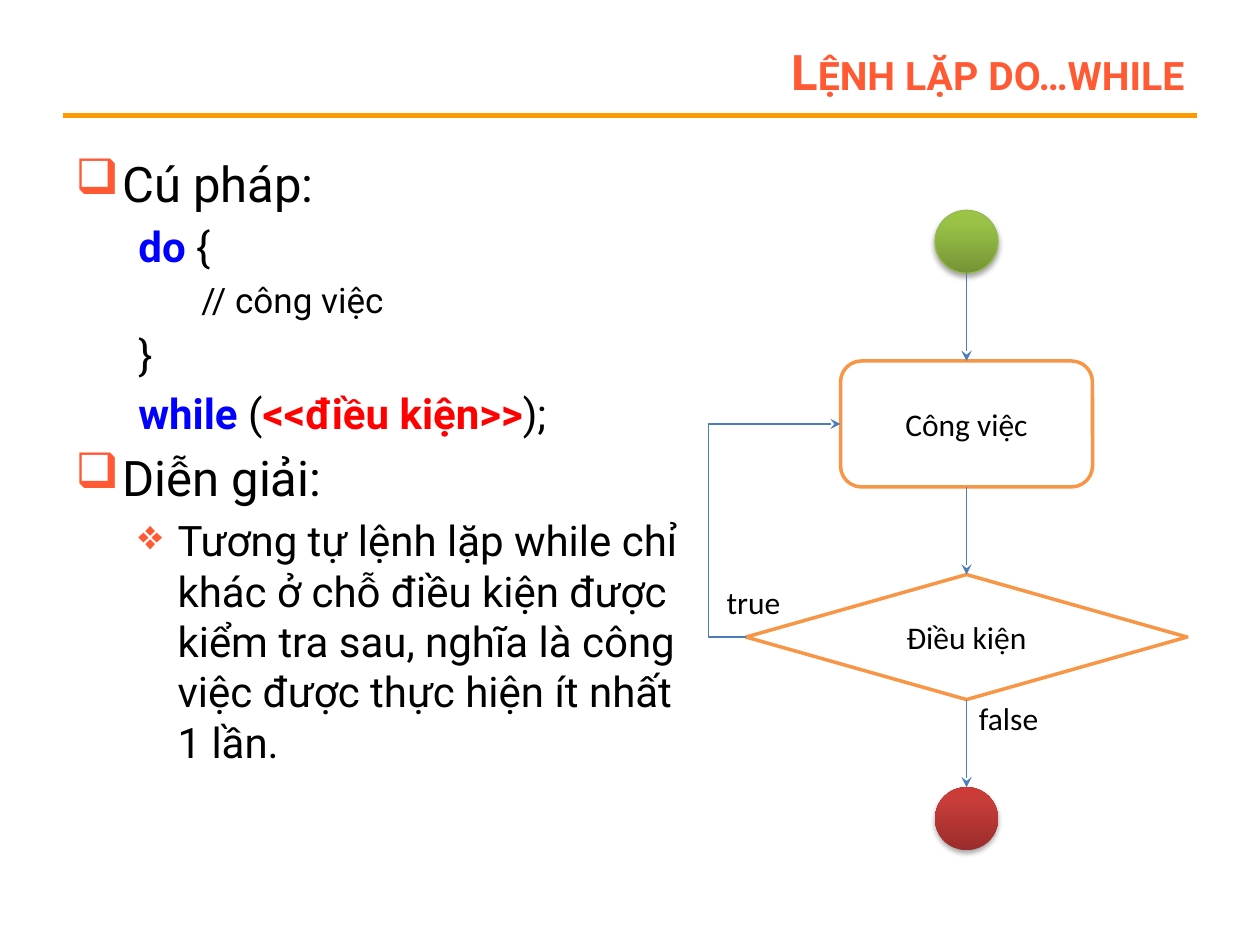
import copy
import pptx
import pptx.chart.data
import pptx.dml.color
import pptx.enum.shapes
import pptx.enum.text
import pptx.oxml
import pptx.oxml.ns
import pptx.util
from pptx.util import Cm

SHAPE = pptx.enum.shapes.MSO_SHAPE
CONNECTOR = pptx.enum.shapes.MSO_CONNECTOR
ALIGN = pptx.enum.text.PP_ALIGN
ANCHOR = pptx.enum.text.MSO_ANCHOR
CORAL, BLACK, BLUE, RED = "FF5A33", "000000", "0000FF", "FF0000"
ORANGE, WHITE, ARROW = "F79646", "FFFFFF", "4A7DBA"


def color(value):
    return pptx.dml.color.RGBColor.from_string(value)


def add_xml(parent, tag, **attributes):
    element = pptx.oxml.parse_xml(f"<a:{tag} {pptx.oxml.ns.nsdecls('a')}/>")
    for name, value in attributes.items():
        element.set(name, str(value))
    parent.append(element)
    return element


def add_run(paragraph, text, value=BLACK, **formats):
    run = paragraph.add_run()
    run.text = text
    for name, setting in formats.items():
        setattr(run.font, name, setting)
    run.font.color.rgb = color(value)
    return run


def add_text_box(slide, left, top, width, height, **formats):
    shape = slide.shapes.add_textbox(Cm(left), Cm(top), Cm(width), Cm(height))
    for name, setting in ({"word_wrap": True} | formats).items():
        setattr(shape.text_frame, name, setting)
    return shape.text_frame


def add_line(slide, kind, start, end, value, width, arrow=False):
    points = [Cm(length) for length in (*start, *end)]
    connector = slide.shapes.add_connector(kind, *points)
    connector.line.color.rgb = color(value)
    connector.line.width = pptx.util.Pt(width)
    if arrow:
        add_xml(connector.line._get_or_add_ln(), "tailEnd", type="stealth")
    add_xml(connector._element.spPr, "effectLst")
    return connector


def add_shape(slide, kind, left, top, width, height):
    shape = slide.shapes.add_shape(kind, Cm(left), Cm(top), Cm(width), Cm(height))
    shape.shadow.inherit = False
    return shape


def add_step(slide, kind, left, top, width, height, text):
    shape = add_shape(slide, kind, left, top, width, height)
    shape.fill.solid()
    shape.fill.fore_color.rgb = color(WHITE)
    shape.line.color.rgb = color(ORANGE)
    shape.line.width = pptx.util.Pt(2)
    shape.text_frame.vertical_anchor = ANCHOR.MIDDLE
    paragraph = shape.text_frame.paragraphs[0]
    paragraph.alignment = ALIGN.CENTER
    add_run(paragraph, text, name="Calibri", size=pptx.util.Pt(18))


def add_terminal(slide, left, top, size, stops, outline=None):
    shape = add_shape(slide, SHAPE.OVAL, left, top, size, size)
    shape.fill.gradient()
    shape.fill.gradient_angle = 90
    stop_list = shape._element.spPr.find(".//" + pptx.oxml.ns.qn("a:gsLst"))
    stop_list.append(copy.deepcopy(stop_list[0]))
    for stop, (position, value) in zip(shape.fill.gradient_stops, stops):
        stop.position = position
        stop.color.rgb = color(value)
    if outline:
        shape.line.color.rgb = color(outline)
        shape.line.width = pptx.util.Pt(0.75)
    else:
        shape.line.fill.background()
    effects = shape._element.spPr.find(pptx.oxml.ns.qn("a:effectLst"))
    shadow = add_xml(effects, "outerShdw", blurRad=pptx.util.Pt(3.1),
                     dist=pptx.util.Pt(1.8), dir=5400000, rotWithShape=0)
    add_xml(add_xml(shadow, "srgbClr", val=BLACK), "alpha", val=35000)


def add_label(slide, left, top, width, text):
    frame = add_text_box(slide, left, top, width, 1.02, word_wrap=False)
    add_run(frame.paragraphs[0], text, name="Calibri", size=pptx.util.Pt(18))


def build_header(slide, left, top, width, height):
    frame = add_text_box(slide, left + 4.45, top, width - 4.45, 1.35,
                         vertical_anchor=ANCHOR.MIDDLE)
    paragraph = frame.paragraphs[0]
    paragraph.alignment = ALIGN.RIGHT
    run = add_run(paragraph, "Lệnh lặp do…while", CORAL,
                  name="Roboto", size=pptx.util.Pt(28), bold=True)
    run.font._element.set("cap", "small")
    rule = top + height
    add_line(slide, CONNECTOR.STRAIGHT, (left, rule), (left + width, rule), "FF9900", 3)


def build_body(slide, left, top, width, height):
    heading = {"size": 28, "margin": 0.95, "indent": -0.95, "bullet": "❑"}
    code = {"size": 24, "margin": 1.27, "level": 1}
    nested = {"size": 20, "margin": 2.54, "level": 2}
    detail = {"size": 24, "margin": 2.06, "indent": -0.79, "level": 1, "bullet": "❖"}
    lines = [
        (heading, [("Cú pháp:", BLACK)]),
        (code, [("do", BLUE), (" {", BLACK)]),
        (nested, [("// công việc", BLACK)]),
        (code, [("}", BLACK)]),
        (code, [("while", BLUE), (" (", BLACK), ("<<điều kiện>>", RED), (");", BLACK)]),
        (heading, [("Diễn giải:", BLACK)]),
        (detail, [("Tương tự lệnh lặp while chỉ khác ở chỗ điều kiện được kiểm tra "
                   "sau, nghĩa là công việc được thực hiện ít nhất 1 lần.", BLACK)]),
    ]
    frame = add_text_box(slide, left, top, width, height)
    for index, (style, runs) in enumerate(lines):
        paragraph = frame.add_paragraph() if index else frame.paragraphs[0]
        paragraph.level = style.get("level", 0)
        if index:
            paragraph.space_before = pptx.util.Pt(style["size"] / 5)
        properties = paragraph._element.get_or_add_pPr()
        properties.set("marL", str(Cm(style["margin"])))
        properties.set("indent", str(Cm(style.get("indent", 0))))
        if "bullet" in style:
            add_xml(add_xml(properties, "buClr"), "srgbClr", val=CORAL)
            add_xml(properties, "buChar", char=style["bullet"])
        for text, value in runs:
            add_run(paragraph, text, value, name="Roboto",
                    size=pptx.util.Pt(style["size"]), bold=value != BLACK)


def build_flowchart(slide, left, top, width, height):
    circle, work_width, work_height, choice_height = 1.27, 5.08, 2.54, 2.52
    heights = [circle, work_height, choice_height, circle]
    gap = (height - sum(heights)) / 3
    tops = [top + sum(heights[:row]) + row * gap for row in range(4)]
    center = left + width / 2
    work_left = center - work_width / 2
    greens = [(0, "759336"), (0.8, "99C247"), (1, "9BC545")]
    reds = [(0, "992D2B"), (0.8, "C93D39"), (1, "CD3A36")]
    add_terminal(slide, center - circle / 2, tops[0], circle, greens, "97B853")
    add_terminal(slide, center - circle / 2, tops[3], circle, reds)
    add_step(slide, SHAPE.FLOWCHART_DECISION, left, tops[2], width, choice_height,
             "Điều kiện")
    add_step(slide, SHAPE.ROUNDED_RECTANGLE, work_left, tops[1], work_width,
             work_height, "Công việc")
    for row in range(3):
        add_line(slide, CONNECTOR.STRAIGHT, (center, tops[row] + heights[row]),
                 (center, tops[row + 1]), ARROW, 0.75, arrow=True)
    loop = add_line(slide, CONNECTOR.ELBOW, (left, tops[2] + choice_height / 2),
                    (work_left, tops[1] + work_height / 2), ARROW, 0.75, arrow=True)
    guides = loop._element.spPr.find(".//" + pptx.oxml.ns.qn("a:avLst"))
    if guides is None:
        geometry = loop._element.spPr.find(pptx.oxml.ns.qn("a:prstGeom"))
        guides = add_xml(geometry, "avLst")
    add_xml(guides, "gd", name="adj1", fmla="val -40100")
    add_label(slide, left - 0.64, tops[2] + 0.05, 1.6, "true")
    add_label(slide, center, tops[2] + choice_height - 0.13, 1.73, "false")


def main():
    presentation = pptx.Presentation()
    presentation.slide_width, presentation.slide_height = Cm(25.4), Cm(19.05)
    slide = presentation.slides.add_slide(presentation.slide_layouts[6])
    build_header(slide, 1.27, 0.76, 22.86, 1.57)
    build_body(slide, 1.27, 2.97, 13.13, 14.6)
    build_flowchart(slide, 15.04, 4.24, 8.89, 12.9)
    presentation.save("out.pptx")


if __name__ == "__main__":
    main()
